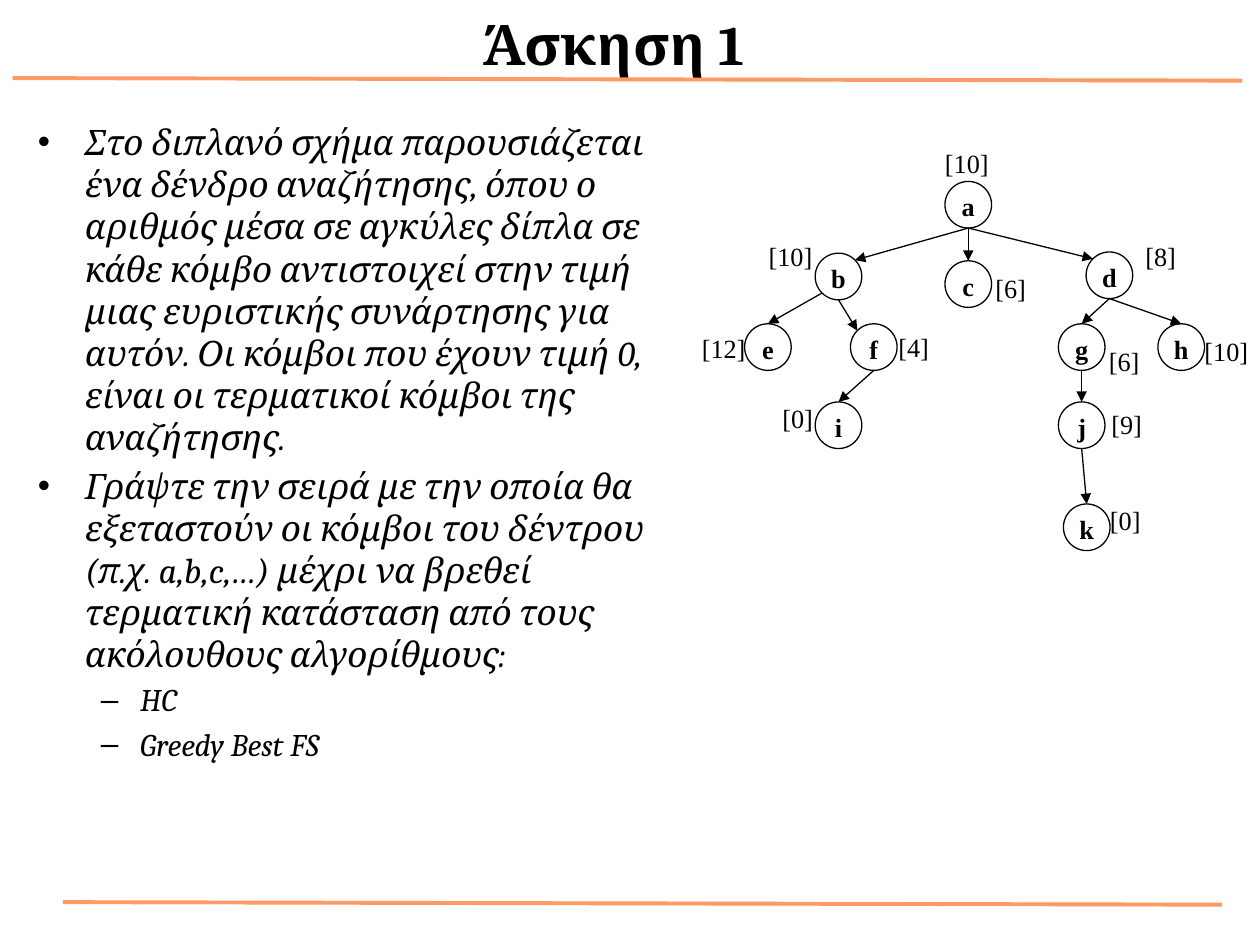
"""Build the search tree exercise slide."""
from math import sqrt

from lxml import etree
from pptx import Presentation
from pptx.dml.color import RGBColor
from pptx.enum import shapes, text
from pptx.oxml import ns
from pptx.util import Inches, Pt

BLACK = RGBColor(0x00, 0x00, 0x00)
WHITE = RGBColor(0xFF, 0xFF, 0xFF)
ORANGE = RGBColor(0xFF, 0x99, 0x66)
DIAMETER = 0.37
DIAGONAL = sqrt(0.5)

TITLE = "Άσκηση 1"
EXERCISE = [
    ("Στο διπλανό σχήμα παρουσιάζεται ένα δένδρο αναζήτησης, όπου ο αριθμός "
     "μέσα σε αγκύλες δίπλα σε κάθε κόμβο αντιστοιχεί στην τιμή μιας "
     "ευριστικής συνάρτησης για αυτόν. Οι κόμβοι που έχουν τιμή 0, είναι οι "
     "τερματικοί κόμβοι της αναζήτησης.", 0),
    ("Γράψτε την σειρά με την οποία θα εξεταστούν οι κόμβοι του δέντρου "
     "(π.χ. a,b,c,…) μέχρι να βρεθεί τερματική κατάσταση από τους "
     "ακόλουθους αλγορίθμους:", 0),
    ("HC", 1),
    ("Greedy Best FS", 1),
]
NODES = {
    "a": (7.5, 1.44), "b": (6.47, 2.01), "c": (7.5, 2.07), "d": (8.62, 2.0),
    "e": (5.91, 2.57), "f": (6.75, 2.57), "g": (8.4, 2.57), "h": (9.19, 2.57),
    "i": (6.47, 3.19), "j": (8.4, 3.19), "k": (8.44, 4.0),
}
SITES = {
    "top": (0, -1), "bottom": (0, 1),
    "top left": (-DIAGONAL, -DIAGONAL), "top right": (DIAGONAL, -DIAGONAL),
    "bottom left": (-DIAGONAL, DIAGONAL),
}
EDGES = [
    ("a", "bottom", "b", "top right"), ("a", "bottom", "c", "top"),
    ("a", "bottom", "d", "top left"), ("b", "bottom left", "e", "top"),
    ("b", "bottom", "f", "top left"), ("d", "bottom", "g", "top"),
    ("d", "bottom", "h", "top"), ("f", "bottom", "i", "top"),
    ("g", "bottom", "j", "top"), ("j", "bottom", "k", "top"),
]
HEURISTICS = [
    (10, 7.5, 1.17, 0.56), (10, 6.1, 1.91, 0.35), (6, 7.9, 2.16, 0.56),
    (8, 9.09, 1.91, 0.56), (12, 5.57, 2.64, 0.36), (4, 7.13, 2.63, 0.56),
    (6, 8.8, 2.74, 0.39), (10, 9.56, 2.66, 0.36), (0, 6.21, 3.19, 0.37),
    (9, 8.82, 3.24, 0.56), (0, 8.81, 4.0, 0.56),
]


def write(paragraph, words, *, size, font="Times New Roman", bold=False,
          italic=False, align=None, level=0):
    """Put formatted words in a paragraph."""
    paragraph.level = level
    paragraph.alignment = align
    run = paragraph.add_run()
    run.text = words
    run.font.name = font
    run.font.size = Pt(size)
    run.font.bold = bold
    run.font.italic = italic
    run.font.color.rgb = BLACK


def site_point(node, site):
    """Return the point of a node's outline at a named site."""
    return [corner + DIAMETER / 2 * (1 + way)
            for corner, way in zip(NODES[node], SITES[site])]


class TreeSlide:
    """Hold the style and the current slide."""

    def __init__(self, slide):
        """Keep the slide to draw on."""
        self.slide = slide

    def place(self, holder, left, top, width, height):
        """Move a placeholder and return its text frame."""
        holder.left, holder.top = Inches(left), Inches(top)
        holder.width, holder.height = Inches(width), Inches(height)
        frame = holder.text_frame
        frame.auto_size = text.MSO_AUTO_SIZE.NONE
        return frame

    def title(self, words):
        """Fill the title placeholder."""
        frame = self.place(self.slide.shapes.title, 0.37, 0.14, 9, 0.4)
        frame.vertical_anchor = text.MSO_ANCHOR.MIDDLE
        write(frame.paragraphs[0], words, size=32, font="Cambria", bold=True,
              align=text.PP_ALIGN.CENTER)

    def body(self, items):
        """Fill the body placeholder with a bulleted list."""
        frame = self.place(self.slide.placeholders[1], 0.2, 0.91, 5.24, 6.26)
        for index, (words, level) in enumerate(items):
            paragraph = frame.add_paragraph() if index else frame.paragraphs[0]
            write(paragraph, words, size=20 - 2 * level, font="Cambria",
                  italic=True, level=level)

    def node(self, name, left, top):
        """Draw a named tree node."""
        circle = self.slide.shapes.add_shape(
            shapes.MSO_SHAPE.OVAL, Inches(left), Inches(top),
            Inches(DIAMETER), Inches(DIAMETER))
        circle.shadow.inherit = False
        circle.fill.solid()
        circle.fill.fore_color.rgb = WHITE
        circle.line.color.rgb = BLACK
        circle.line.width = Pt(0.75)
        frame = circle.text_frame
        frame.margin_left = frame.margin_right = 0
        frame.margin_top = frame.margin_bottom = Inches(0.02)
        frame.vertical_anchor = text.MSO_ANCHOR.TOP
        write(frame.paragraphs[0], name, size=15, bold=True,
              align=text.PP_ALIGN.CENTER)

    def heuristic(self, value, left, top, width):
        """Write a heuristic value in brackets."""
        label = self.slide.shapes.add_textbox(
            Inches(left), Inches(top), Inches(width), Inches(DIAMETER))
        frame = label.text_frame
        frame.word_wrap = True
        frame.margin_left = frame.margin_right = 0
        frame.margin_top = frame.margin_bottom = 0
        write(frame.paragraphs[0], f"[{value}]", size=15)

    def line(self, start, end, color=BLACK, width=0.75, arrow=False):
        """Draw a straight line, with an arrowhead if asked."""
        rule = self.slide.shapes.add_connector(
            shapes.MSO_CONNECTOR.STRAIGHT, *map(Inches, (*start, *end)))
        rule.line.color.rgb = color
        rule.line.width = Pt(width)
        if arrow:
            etree.SubElement(rule.line._get_or_add_ln(), ns.qn("a:tailEnd"),
                             type="triangle")
        etree.SubElement(rule._element.spPr, ns.qn("a:effectLst"))


def main():
    """Build and save the presentation."""
    deck = Presentation()
    deck.slide_width, deck.slide_height = Inches(10), Inches(7.5)
    page = TreeSlide(deck.slides.add_slide(deck.slide_layouts[1]))
    page.title(TITLE)
    page.body(EXERCISE)
    for name, corner in NODES.items():
        page.node(name, *corner)
    for parent, leaving, child, entering in EDGES:
        page.line(site_point(parent, leaving), site_point(child, entering),
                  arrow=True)
    for heuristic in HEURISTICS:
        page.heuristic(*heuristic)
    page.line((0.1, 0.62), (9.86, 0.64), ORANGE, 2.25)
    page.line((0.5, 7.16), (9.7, 7.18), ORANGE, 2.25)
    deck.save("out.pptx")


if __name__ == "__main__":
    main()
